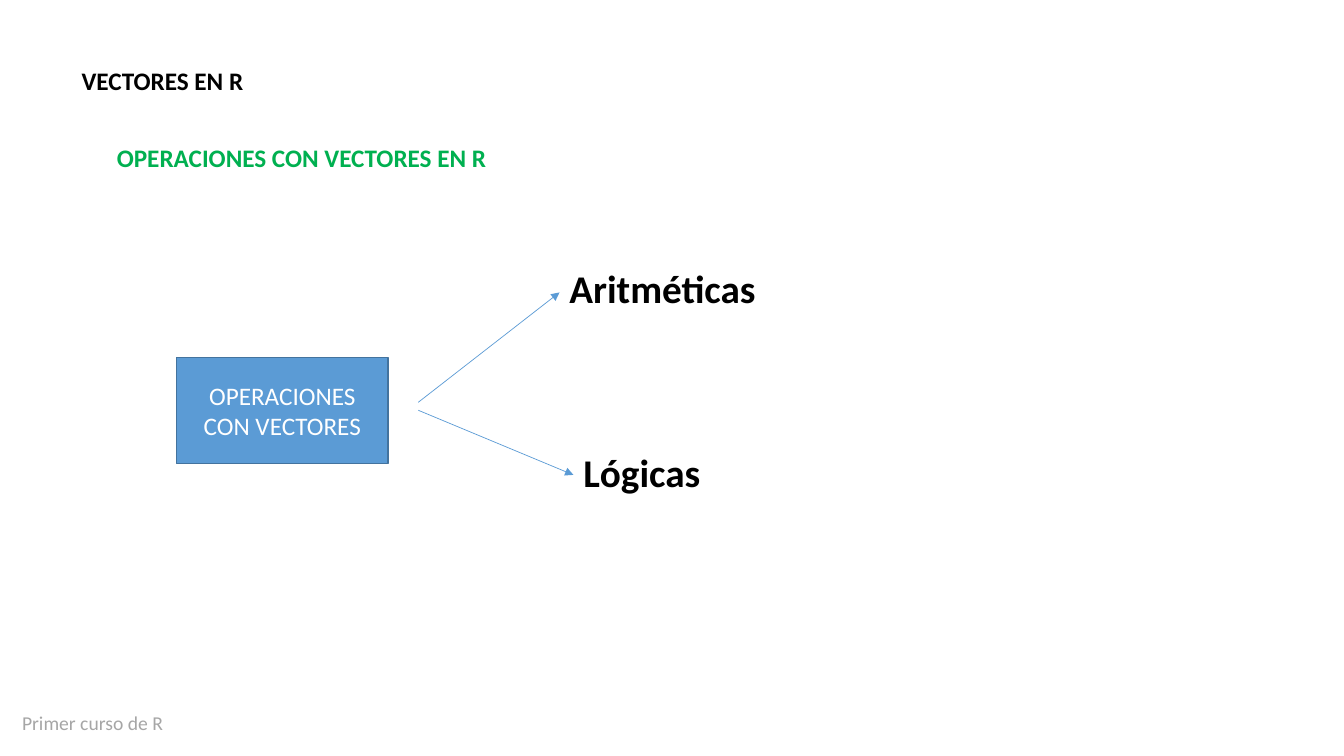
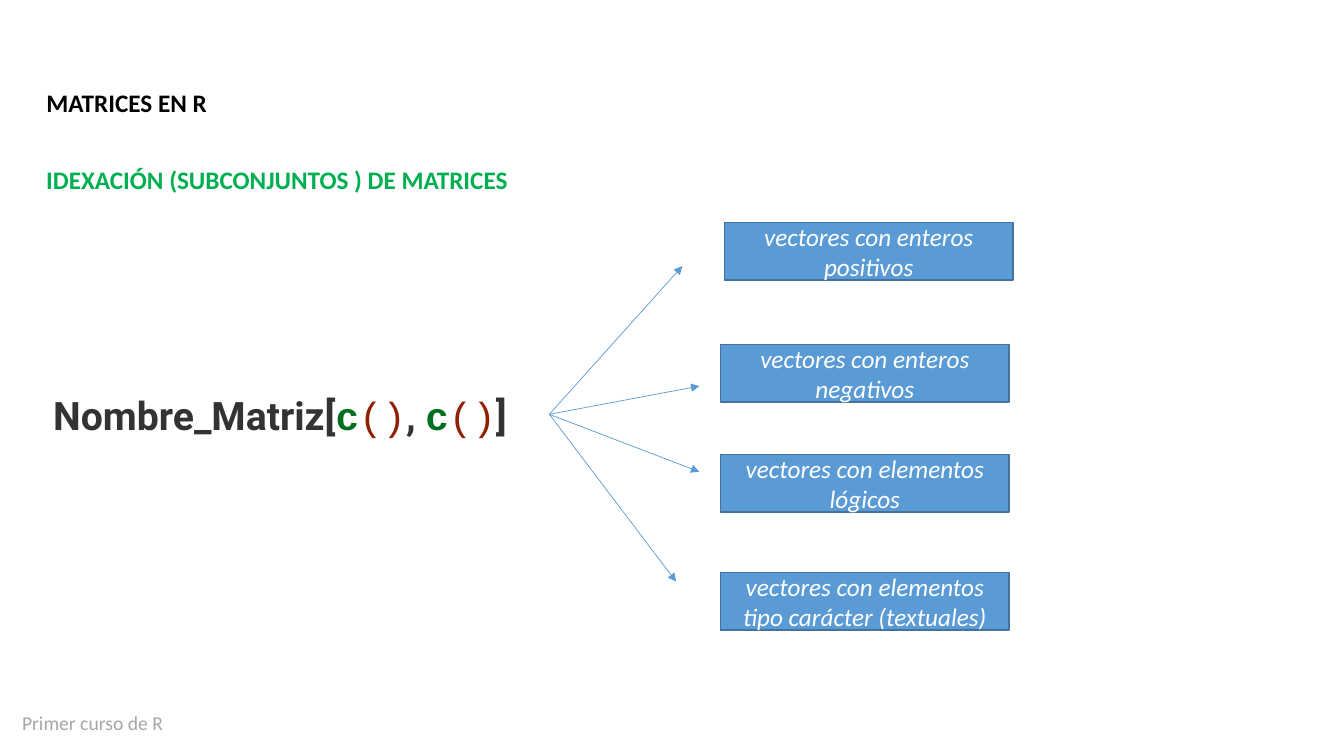
import collections
import pptx
import pptx.util
import pptx.dml.color
import pptx.enum.shapes
import pptx.enum.text
import pptx.oxml.ns
from lxml import etree

COLORS = {
    "title": "000000", "subtitle": "00B050", "footer": "A6A6A6",
    "fill": "5B9BD5", "border": "43739E", "light": "FFFFFF",
    "code": "333333", "call": "007020", "paren": "902000",
}
FONT = "Calibri"
ALIGN = pptx.enum.text.PP_ALIGN
ANCHOR = pptx.enum.text.MSO_ANCHOR
Pt = pptx.util.Pt


class Box(collections.namedtuple("Box", "x y w h")):
    def point(self, x, y):
        return int(self.x + self.w * x / 100), int(self.y + self.h * y / 100)

    def area(self, x, y, w, h):
        return Box(*self.point(x, y), int(self.w * w / 100), int(self.h * h / 100))


SLIDE = Box(0, 0, pptx.util.Inches(13.33), pptx.util.Inches(7.5))


def rgb(name):
    return pptx.dml.color.RGBColor.from_string(COLORS[name])


def add_run(p, text, size=18, color="title", font=FONT, bold=False, italic=False):
    r = p.add_run()
    r.text = text
    r.font.size, r.font.name = Pt(size), font
    r.font.bold, r.font.italic = bold, italic
    r.font.color.rgb = rgb(color)


def write(tf, runs, align=ALIGN.LEFT, anchor=ANCHOR.TOP, wrap=True, **fmt):
    tf.word_wrap = wrap
    tf.auto_size = pptx.enum.text.MSO_AUTO_SIZE.NONE
    tf.vertical_anchor = anchor
    p = tf.paragraphs[0]
    p.alignment = align
    for text, extra in [(runs, {})] if isinstance(runs, str) else runs:
        add_run(p, text, **{**fmt, **extra})


def add_text(slide, box, runs, **fmt):
    write(slide.shapes.add_textbox(*box).text_frame, runs, **fmt)


def add_block(slide, box, text, **fmt):
    sp = slide.shapes.add_shape(pptx.enum.shapes.MSO_SHAPE.RECTANGLE, *box)
    sp.shadow.inherit = False
    sp.fill.solid()
    sp.fill.fore_color.rgb = rgb("fill")
    sp.line.color.rgb = rgb("border")
    sp.line.width = Pt(1)
    write(sp.text_frame, text, align=ALIGN.CENTER, anchor=ANCHOR.MIDDLE,
          color="light", **fmt)


def add_arrow(slide, start, end):
    cx = slide.shapes.add_connector(
        pptx.enum.shapes.MSO_CONNECTOR.STRAIGHT, *start, *end)
    cx.line.color.rgb = rgb("fill")
    cx.line.width = Pt(0.5)
    qn = pptx.oxml.ns.qn
    props = cx.element.spPr
    etree.SubElement(props.find(qn("a:ln")), qn("a:tailEnd"), type="triangle")
    etree.SubElement(props, qn("a:effectLst"))


def add_slide(prs, title, subtitle, left, top, indent=0):
    slide = prs.slides.add_slide(prs.slide_layouts[5])
    sp = slide.shapes.title
    sp.left, sp.top, sp.width, sp.height = SLIDE.area(left, top, 45.2, 5.33)
    write(sp.text_frame, title, bold=True)
    add_text(slide, SLIDE.area(left + indent, top + 10.2, 57.75, 5.33), subtitle,
             color="subtitle", bold=True)
    add_text(slide, SLIDE.area(0.9, 93.33, 12.07, 4.53), "Primer curso de R",
             size=14, color="footer", wrap=False)
    return slide


def draw_operations(slide, box):
    add_block(slide, box.area(0, 40.8, 31.25, 43.75), "OPERACIONES CON VECTORES")
    for text, x, y, start_y, end_y in (
        ("Aritméticas", 56.55, 0, 59.2, 13.8),
        ("Lógicas", 58.6, 76.25, 62.5, 89.2),
    ):
        add_arrow(slide, box.point(35.7, start_y), box.point(x, end_y))
        add_text(slide, box.area(x, y, 43.45, 23.75), text, size=28, bold=True)


def draw_indexing(slide, box):
    call = [("c", dict(color="call", font="Courier New")),
            ("()", dict(color="paren", font="Courier New", bold=False))]
    add_text(slide, box.area(0, 40.1, 50.2, 14.1),
             [("Nombre_Matriz[", {}), *call, (", ", {}), *call, ("]", {})],
             size=28, color="code", font="Roboto", bold=True, wrap=False)
    for text, x, y, tip_x, tip_y in (
        ("vectores con enteros positivos", 70.4, 0, 66.04, 10.64),
        ("vectores con enteros negativos", 70, 29.95, 67.8, 40.1),
        ("vectores con elementos lógicos", 70, 56.93, 67.8, 61.14),
        ("vectores con elementos tipo carácter (textuales)", 70, 85.89, 65.4, 88.12),
    ):
        add_arrow(slide, box.point(52.3, 47.03), box.point(tip_x, tip_y))
        add_block(slide, box.area(x, y, 29.8, 14.1), text, italic=True)


def main():
    prs = pptx.Presentation()
    prs.slide_width, prs.slide_height = SLIDE.w, SLIDE.h
    slide = add_slide(prs, "VECTORES EN R", "OPERACIONES CON VECTORES EN R",
                      left=5.32, top=8, indent=2.63)
    draw_operations(slide, SLIDE.area(13.13, 34.27, 50.4, 32))
    slide = add_slide(prs, "MATRICES EN R", "IDEXACIÓN (SUBCONJUNTOS ) DE MATRICES",
                      left=2.7, top=10.9)
    draw_indexing(slide, SLIDE.area(3.22, 29.47, 72, 53.87))
    prs.save("out.pptx")


if __name__ == "__main__":
    main()
